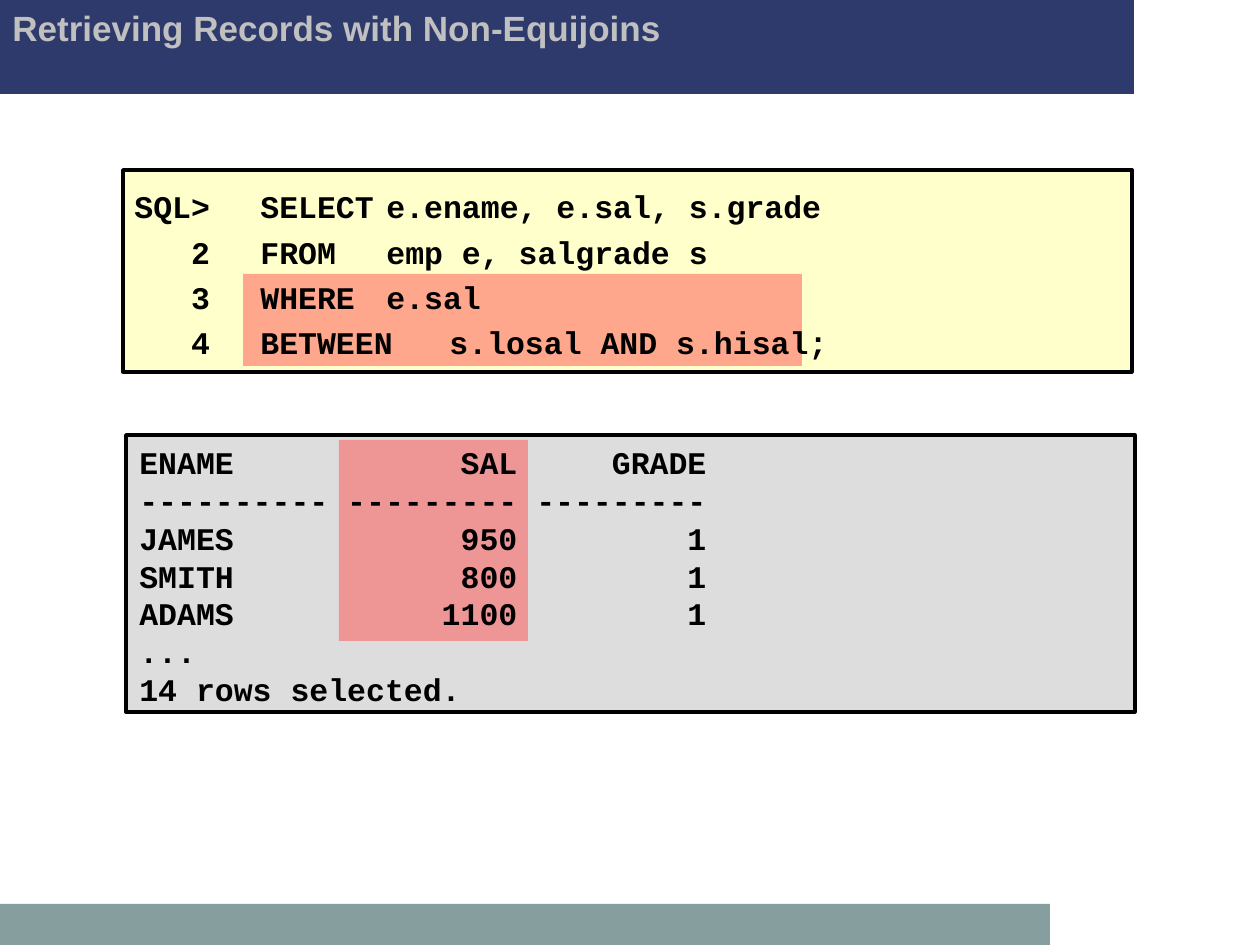
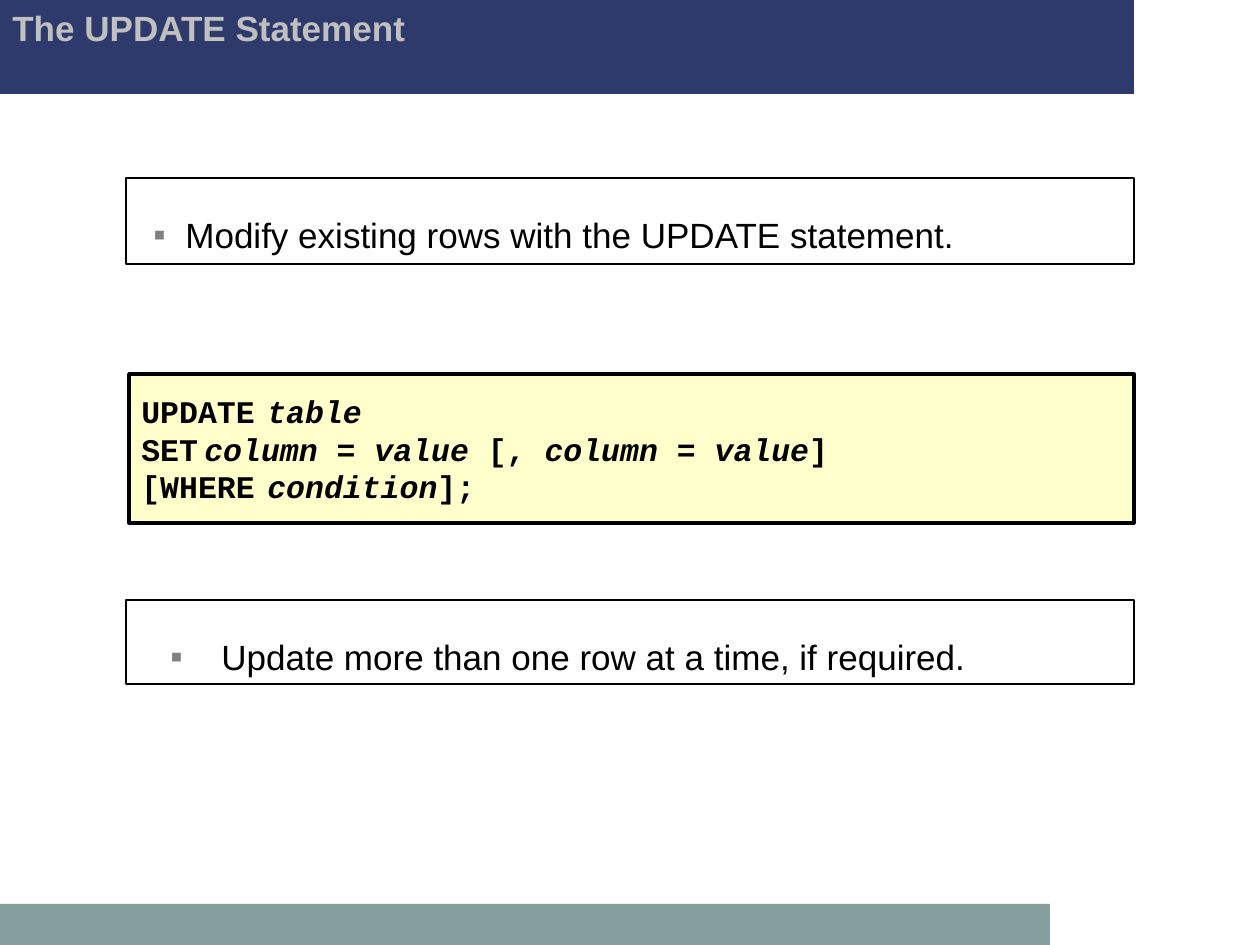
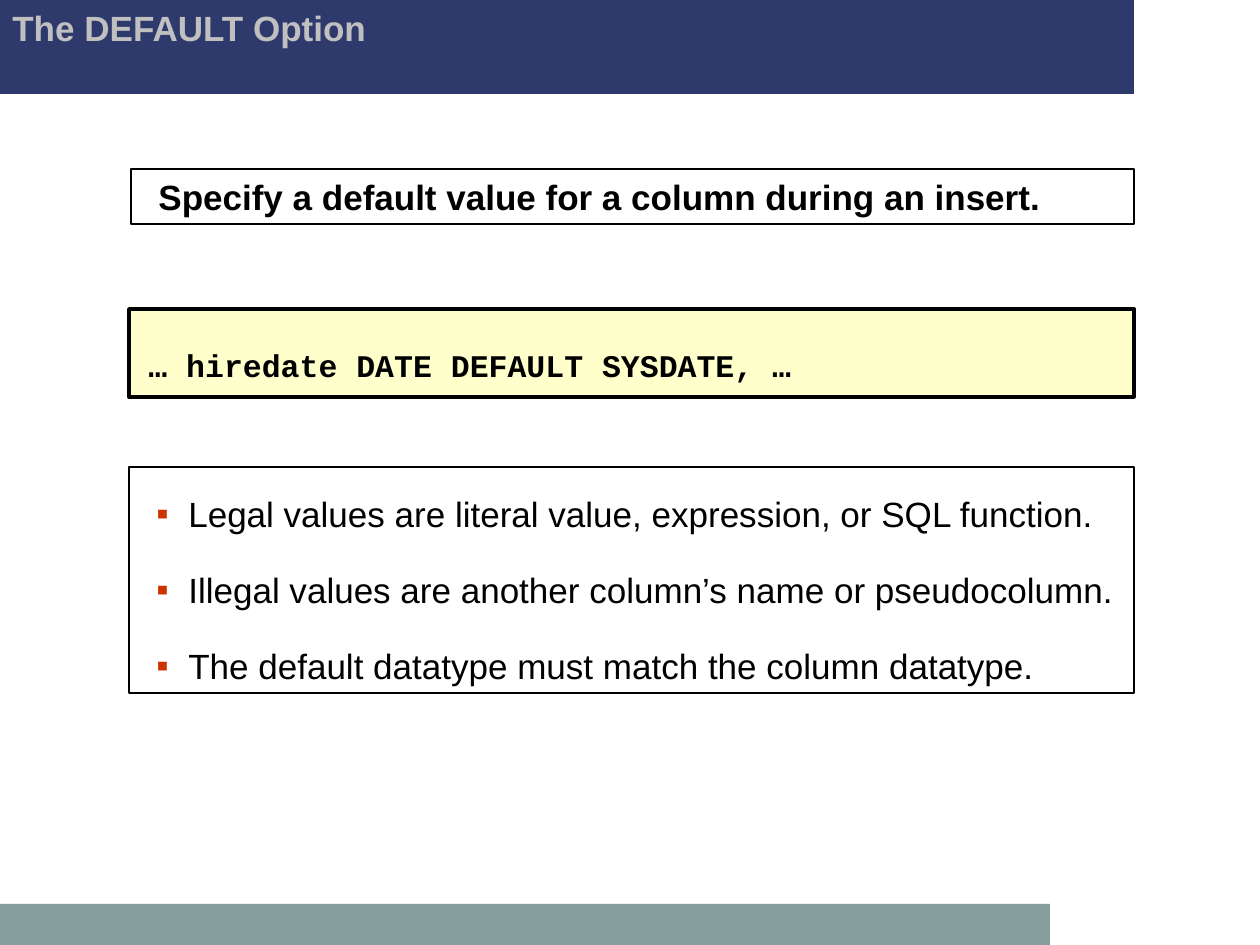
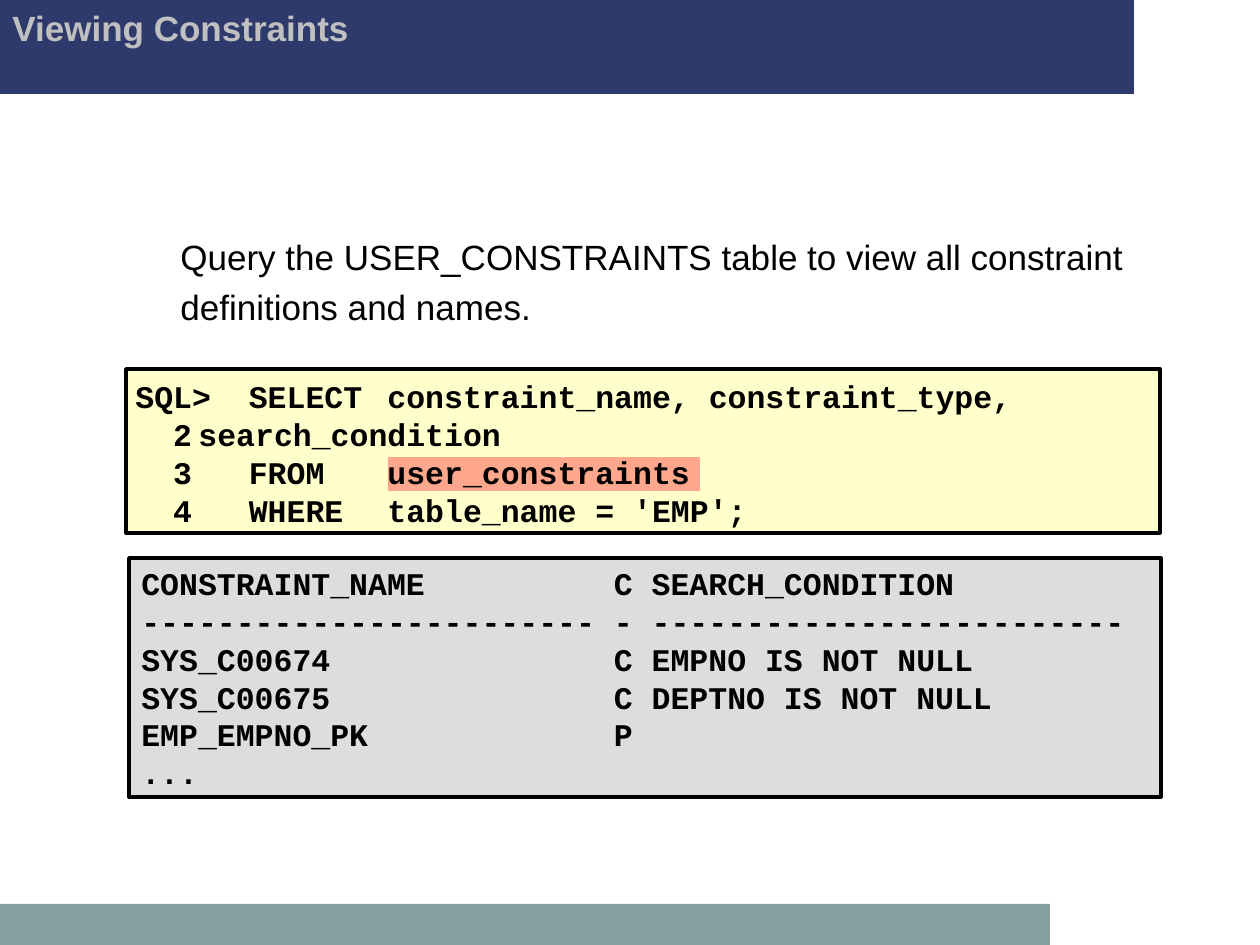
import pptx
import pptx.util
import pptx.dml.color
import pptx.enum.shapes
import pptx.enum.text
import pptx.oxml.ns
import pptx.oxml.xmlchemy

RGBColor = pptx.dml.color.RGBColor
NAVY = RGBColor(0x2E, 0x3A, 0x6C)
TEAL = RGBColor(0x87, 0x9E, 0x9E)
CREAM = RGBColor(0xFF, 0xFF, 0xCC)
SILVER = RGBColor(0xDD, 0xDD, 0xDD)
TITLE_GREY = RGBColor(0xC0, 0xC0, 0xC0)
BULLET_GREY = RGBColor(0x80, 0x80, 0x80)
BULLET_RED = RGBColor(0xCC, 0x33, 0x00)
RED = RGBColor(0xFF, 0x50, 0x50)
BLACK = RGBColor(0, 0, 0)

EMU_PER_PX = 914400 / 126
TOP = pptx.enum.text.MSO_ANCHOR.TOP
MIDDLE = pptx.enum.text.MSO_ANCHOR.MIDDLE
BOTTOM = pptx.enum.text.MSO_ANCHOR.BOTTOM

# Format presets for the text function
CODE = dict(font="Courier New", size=18, bold=True)
SYNTAX = dict(CODE, tabs=(252,), anchor=MIDDLE)
QUERY = dict(CODE, tabs=(118, 285), line_spacing=1.2, anchor=MIDDLE)
POINT = dict(margin=47, indent=-32, line_spacing=1.7, bullet=BULLET_GREY)
WIDE_POINT = dict(POINT, margin=83, indent=-51)
RULES = dict(margin=47, indent=-32, line_spacing=1.45, gap=8.8, bullet=BULLET_RED)

# Panel styles: fill and line width
CODE_PANEL = dict(fill=CREAM, line=2)
RESULT_PANEL = dict(fill=SILVER, line=2)
FRAME = dict(line=0.75)
HIGHLIGHT = dict(fill=RED, alpha=50)

# Each part: box in px (left, top, width, height), panel style or None,
# paragraphs, text format. A paragraph is a string or a list of
# (text, italic) pairs.
SLIDES = [
    ("Retrieving Records with Non-Equijoins", [
        ((123, 170, 1009, 202), CODE_PANEL, [], {}),
        ((126, 435, 1009, 277), RESULT_PANEL, [], {}),
        ((243, 274, 559, 92), HIGHLIGHT, [], {}),
        ((339, 440, 189, 201), HIGHLIGHT, [], {}),
        ((127, 437, 1007, 277), None, [
            "ENAME            SAL     GRADE",
            "---------- --------- ---------",
            "JAMES            950         1",
            "SMITH            800         1",
            "ADAMS           1100         1",
            "...",
            "14 rows selected.",
        ], CODE),
        ((122, 168, 1012, 205), None, [
            "SQL>\tSELECT\te.ename, e.sal, s.grade",
            "   2\tFROM\temp e, salgrade s",
            "   3\tWHERE\te.sal",
            "   4\tBETWEEN\ts.losal AND s.hisal;",
        ], QUERY),
    ]),
    ("The UPDATE Statement", [
        ((126, 178, 1008, 86), FRAME,
         ["Modify existing rows with the UPDATE statement."], POINT),
        ((129, 374, 1005, 149), CODE_PANEL, [
            [("UPDATE\t", False), ("table", True)],
            [("SET\t", False), ("column", True), (" = ", False),
             ("value", True), (" [, ", False), ("column ", True),
             ("= ", False), ("value", True), ("]", False)],
            [("[WHERE\t", False), ("condition", True), ("];", False)],
        ], SYNTAX),
        ((126, 600, 1008, 84), FRAME,
         ["Update more than one row at a time, if required."], WIDE_POINT),
    ]),
    ("The DEFAULT Option", [
        ((131, 169, 1003, 55), FRAME,
         ["Specify a default value for a column during an insert."],
         dict(margin=47, indent=-32, bold=True)),
        ((129, 309, 1005, 88), CODE_PANEL, [], {}),
        ((136, 311, 698, 79), None,
         ["… hiredate DATE DEFAULT SYSDATE, …"], dict(CODE, anchor=BOTTOM)),
        ((129, 467, 1005, 226), FRAME, [
            "Legal values are literal value, expression, or SQL function.",
            "Illegal values are another column’s name or pseudocolumn.",
            "The default datatype must match the column datatype.",
        ], RULES),
    ]),
    ("Viewing Constraints", [
        ((126, 369, 1034, 164), CODE_PANEL, [], {}),
        ((168, 221, 984, 113), None,
         ["Query the USER_CONSTRAINTS table to view all constraint "
          "definitions and names."], dict(line_spacing=1.2)),
        ((129, 558, 1032, 239), RESULT_PANEL, [
            "CONSTRAINT_NAME          C SEARCH_CONDITION",
            "------------------------ - -------------------------",
            "SYS_C00674               C EMPNO IS NOT NULL",
            "SYS_C00675               C DEPTNO IS NOT NULL",
            "EMP_EMPNO_PK             P",
            "...",
        ], CODE),
        ((388, 457, 312, 34), HIGHLIGHT, [], {}),
        ((123, 369, 1037, 168), None, [
            "SQL>  SELECT\tconstraint_name, constraint_type,",
            "  2\tsearch_condition",
            "  3   FROM\tuser_constraints",
            "  4   WHERE\ttable_name = 'EMP';",
        ], SYNTAX),
    ]),
]


def px(length):
    return round(length * EMU_PER_PX)


def add_element(parent, tag, **attributes):
    child = pptx.oxml.xmlchemy.OxmlElement(tag)
    for key, value in attributes.items():
        child.set(key, str(value))
    parent.append(child)
    return child


def add_panel(slide, box, fill=None, line=None, alpha=None):
    """Add a rectangle; alpha is its opacity in percent."""
    panel = slide.shapes.add_shape(
        pptx.enum.shapes.MSO_SHAPE.RECTANGLE, *map(px, box))
    panel.shadow.inherit = False
    if fill is None:
        panel.fill.background()
    else:
        panel.fill.solid()
        panel.fill.fore_color.rgb = fill
    if alpha is not None:
        solid_fill = panel.element.spPr.find(pptx.oxml.ns.qn("a:solidFill"))
        add_element(solid_fill[0], "a:alpha", val=alpha * 1000)
    if line is None:
        panel.line.fill.background()
    else:
        panel.line.color.rgb = BLACK
        panel.line.width = pptx.util.Pt(line)
    return panel


def add_bullet(properties, color):
    add_element(add_element(properties, "a:buClr"), "a:srgbClr", val=color)
    add_element(properties, "a:buFont", typeface="Arial")
    add_element(properties, "a:buChar", char="▪")


def add_tabs(properties, stops):
    tab_list = add_element(properties, "a:tabLst")
    for stop in stops:
        add_element(tab_list, "a:tab", pos=px(stop), algn="l")


def write_text(shape, paragraphs, font="Arial", size=20, color=BLACK,
               bold=False, anchor=TOP, line_spacing=None, gap=0,
               margin=0, indent=0, bullet=None, tabs=()):
    frame = shape.text_frame
    frame.word_wrap = True
    frame.vertical_anchor = anchor
    for number, content in enumerate(paragraphs):
        paragraph = frame.add_paragraph() if number else frame.paragraphs[0]
        paragraph.alignment = pptx.enum.text.PP_ALIGN.LEFT
        if line_spacing:
            paragraph.line_spacing = line_spacing
        if number and gap:
            paragraph.space_before = pptx.util.Pt(gap)
        properties = paragraph._p.get_or_add_pPr()
        properties.set("marL", str(px(margin)))
        properties.set("indent", str(px(indent)))
        if bullet is not None:
            add_bullet(properties, bullet)
        if tabs:
            add_tabs(properties, tabs)
        pieces = [(content, False)] if isinstance(content, str) else content
        for words, italic in pieces:
            run = paragraph.add_run()
            run.text = words
            run.font.name = font
            run.font.size = pptx.util.Pt(size)
            run.font.bold = bold
            run.font.italic = italic
            run.font.color.rgb = color


def add_text_box(slide, box):
    return slide.shapes.add_textbox(*map(px, box))


def add_base(slide, title):
    """Add the bands and title that every slide shares."""
    add_panel(slide, (0, 0, 1134, 94), fill=NAVY)
    add_panel(slide, (0, 904, 1050, 41), fill=TEAL)
    write_text(add_text_box(slide, (0, 0, 1071, 94)), [title],
               color=TITLE_GREY, bold=True)


def main():
    deck = pptx.Presentation()
    deck.slide_width, deck.slide_height = px(1260), px(945)
    for title, parts in SLIDES:
        slide = deck.slides.add_slide(deck.slide_layouts[6])
        add_base(slide, title)
        for box, style, paragraphs, text_format in parts:
            if style is None:
                shape = add_text_box(slide, box)
            else:
                shape = add_panel(slide, box, **style)
            if paragraphs:
                write_text(shape, paragraphs, **text_format)
    deck.save("out.pptx")


if __name__ == "__main__":
    main()
